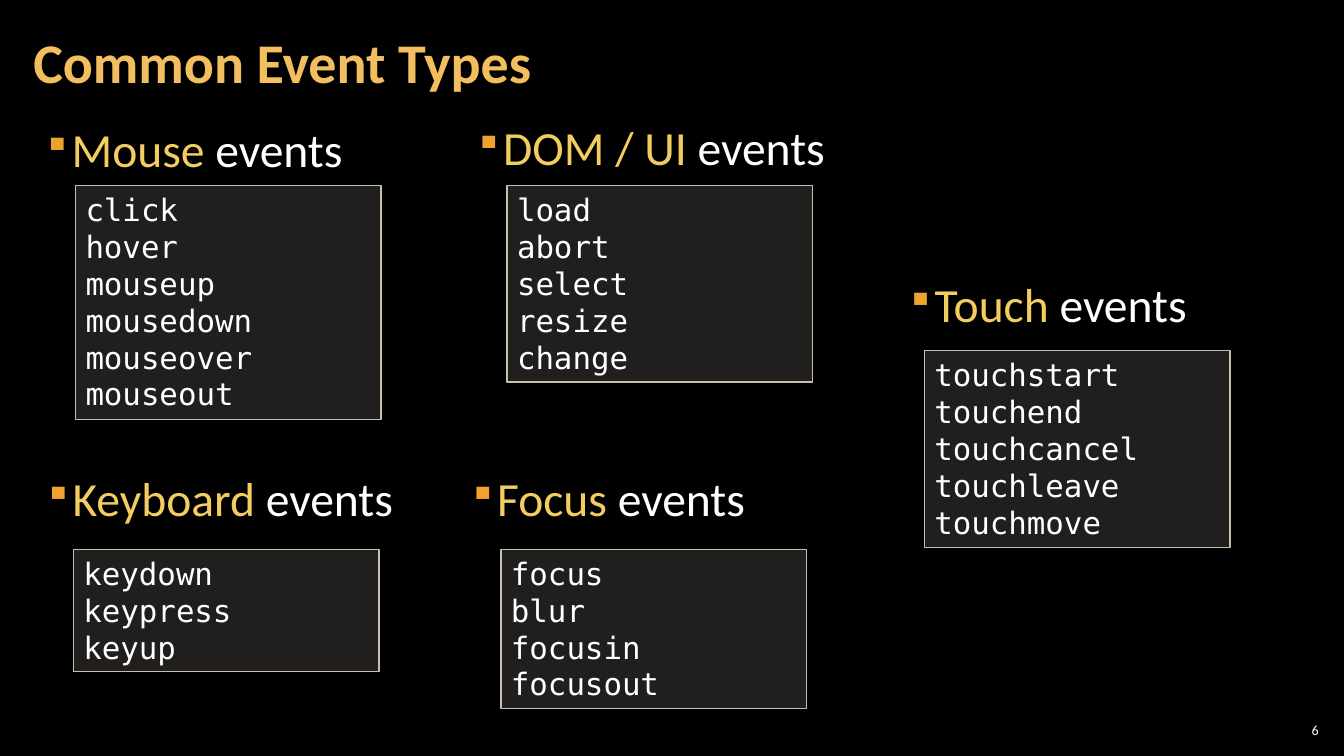
from dataclasses import dataclass

from lxml.etree import SubElement
from pptx import Presentation
from pptx.dml.color import RGBColor
from pptx.enum.shapes import MSO_SHAPE
from pptx.enum.text import MSO_ANCHOR, MSO_AUTO_SIZE, PP_ALIGN
from pptx.oxml.ns import qn
from pptx.slide import Slide
from pptx.util import Inches, Pt

COLORS = {
    "background": "000000",
    "title": "F3BE60",
    "accent": "F3CD60",
    "bullet": "F0A22E",
    "text": "FFFFFF",
    "panel": "D9D5C7",
    "border": "C7BFAC",
}
HEADING_FONT = "Calibri"
CODE_FONT = "DejaVu Sans Mono"
PANEL_WIDTH = 3.03
PANEL_OPACITY = 15
CODE_LINE_HEIGHT = 0.37
PANEL_PADDING = 0.1


@dataclass(frozen=True)
class EventGroup:
    topic: str
    heading_box: tuple[float, float, float, float]
    panel_left: float
    panel_top: float
    events: tuple[str, ...]


EVENT_GROUPS = [
    EventGroup("Mouse", (0.33, 1.08, 4.5, 0.73), 0.75, 1.84,
               ("click", "hover", "mouseup", "mousedown", "mouseover", "mouseout")),
    EventGroup("DOM / UI", (4.61, 1.06, 3.95, 0.7), 5.03, 1.84,
               ("load", "abort", "select", "resize", "change")),
    EventGroup("Keyboard", (0.34, 4.55, 4.5, 0.7), 0.73, 5.45,
               ("keydown", "keypress", "keyup")),
    EventGroup("Focus", (4.55, 4.55, 3.95, 0.7), 4.97, 5.45,
               ("focus", "blur", "focusin", "focusout")),
    EventGroup("Touch", (8.89, 2.62, 3.95, 0.73), 9.17, 3.48,
               ("touchstart", "touchend", "touchcancel", "touchleave", "touchmove")),
]


def rgb(name: str) -> RGBColor:
    return RGBColor.from_string(COLORS[name])


def add_run(paragraph, text: str, font: str, size: float, color: str,
            bold: bool = False) -> None:
    run = paragraph.add_run()
    run.text = text
    run.font.name = font
    run.font.size = Pt(size)
    run.font.bold = bold
    run.font.color.rgb = rgb(color)


def add_square_bullet(paragraph) -> None:
    """Give the paragraph a small coloured square that hangs before the text."""
    properties = paragraph._p.get_or_add_pPr()
    properties.set("marL", "0")
    properties.set("indent", str(-Inches(0.25)))
    bullet_color = SubElement(properties, qn("a:buClr"))
    SubElement(bullet_color, qn("a:srgbClr"), val=COLORS["bullet"])
    SubElement(properties, qn("a:buSzPct"), val="80000")
    SubElement(properties, qn("a:buChar"), char="▪")


def add_title(slide: Slide, text: str) -> None:
    title = slide.shapes.title
    title.left, title.top = Inches(0.21), Inches(0.04)
    title.width, title.height = Inches(10.47), Inches(1.21)
    frame = title.text_frame
    frame.auto_size = MSO_AUTO_SIZE.NONE
    frame.vertical_anchor = MSO_ANCHOR.MIDDLE
    frame.margin_left = frame.margin_right = Inches(0.12)
    frame.margin_top = frame.margin_bottom = Inches(0.04)
    paragraph = frame.paragraphs[0]
    paragraph.alignment = PP_ALIGN.LEFT
    paragraph.line_spacing = 0.9
    add_run(paragraph, text, HEADING_FONT, 40, "title", bold=True)


def add_heading(slide: Slide, group: EventGroup) -> None:
    heading = slide.shapes.add_textbox(*map(Inches, group.heading_box))
    frame = heading.text_frame
    frame.word_wrap = True
    frame.auto_size = MSO_AUTO_SIZE.SHAPE_TO_FIT_TEXT
    paragraph = frame.paragraphs[0]
    paragraph.line_spacing = 1.1
    paragraph.space_before = paragraph.space_after = Pt(6)
    add_square_bullet(paragraph)
    add_run(paragraph, f"{group.topic} ", HEADING_FONT, 34, "accent")
    add_run(paragraph, "events", HEADING_FONT, 34, "text")


def add_code_panel(slide: Slide, group: EventGroup) -> None:
    height = PANEL_PADDING + CODE_LINE_HEIGHT * len(group.events)
    panel = slide.shapes.add_shape(
        MSO_SHAPE.RECTANGLE, Inches(group.panel_left), Inches(group.panel_top),
        Inches(PANEL_WIDTH), Inches(height))
    panel.shadow.inherit = False
    panel.fill.solid()
    panel.fill.fore_color.rgb = rgb("panel")
    fill_color = panel._element.spPr.find(f"{qn('a:solidFill')}/{qn('a:srgbClr')}")
    SubElement(fill_color, qn("a:alpha"), val=str(PANEL_OPACITY * 1000))
    panel.line.color.rgb = rgb("border")
    panel.line.width = Pt(1)

    frame = panel.text_frame
    frame.word_wrap = True
    frame.auto_size = MSO_AUTO_SIZE.SHAPE_TO_FIT_TEXT
    frame.vertical_anchor = MSO_ANCHOR.TOP
    for index, event in enumerate(group.events):
        paragraph = frame.add_paragraph() if index else frame.paragraphs[0]
        paragraph.alignment = PP_ALIGN.LEFT
        add_run(paragraph, event, CODE_FONT, 22, "text")


def add_page_number(slide: Slide, number: int) -> None:
    page_number = slide.shapes.add_textbox(
        Inches(12.65), Inches(7.14), Inches(0.47), Inches(0.21))
    frame = page_number.text_frame
    frame.word_wrap = True
    frame.vertical_anchor = MSO_ANCHOR.MIDDLE
    frame.margin_left = frame.margin_right = Inches(0.04)
    frame.margin_top = frame.margin_bottom = Inches(0.04)
    paragraph = frame.paragraphs[0]
    paragraph.alignment = PP_ALIGN.RIGHT
    add_run(paragraph, str(number), HEADING_FONT, 10, "text")


def main() -> None:
    presentation = Presentation()
    presentation.slide_width = Inches(13.33)
    presentation.slide_height = Inches(7.5)
    title_only = presentation.slide_layouts.get_by_name("Title Only")
    slide = presentation.slides.add_slide(title_only)
    slide.background.fill.solid()
    slide.background.fill.fore_color.rgb = rgb("background")

    add_title(slide, "Common Event Types")
    for group in EVENT_GROUPS:
        add_heading(slide, group)
        add_code_panel(slide, group)
    add_page_number(slide, 6)
    presentation.save("out.pptx")


if __name__ == "__main__":
    main()
